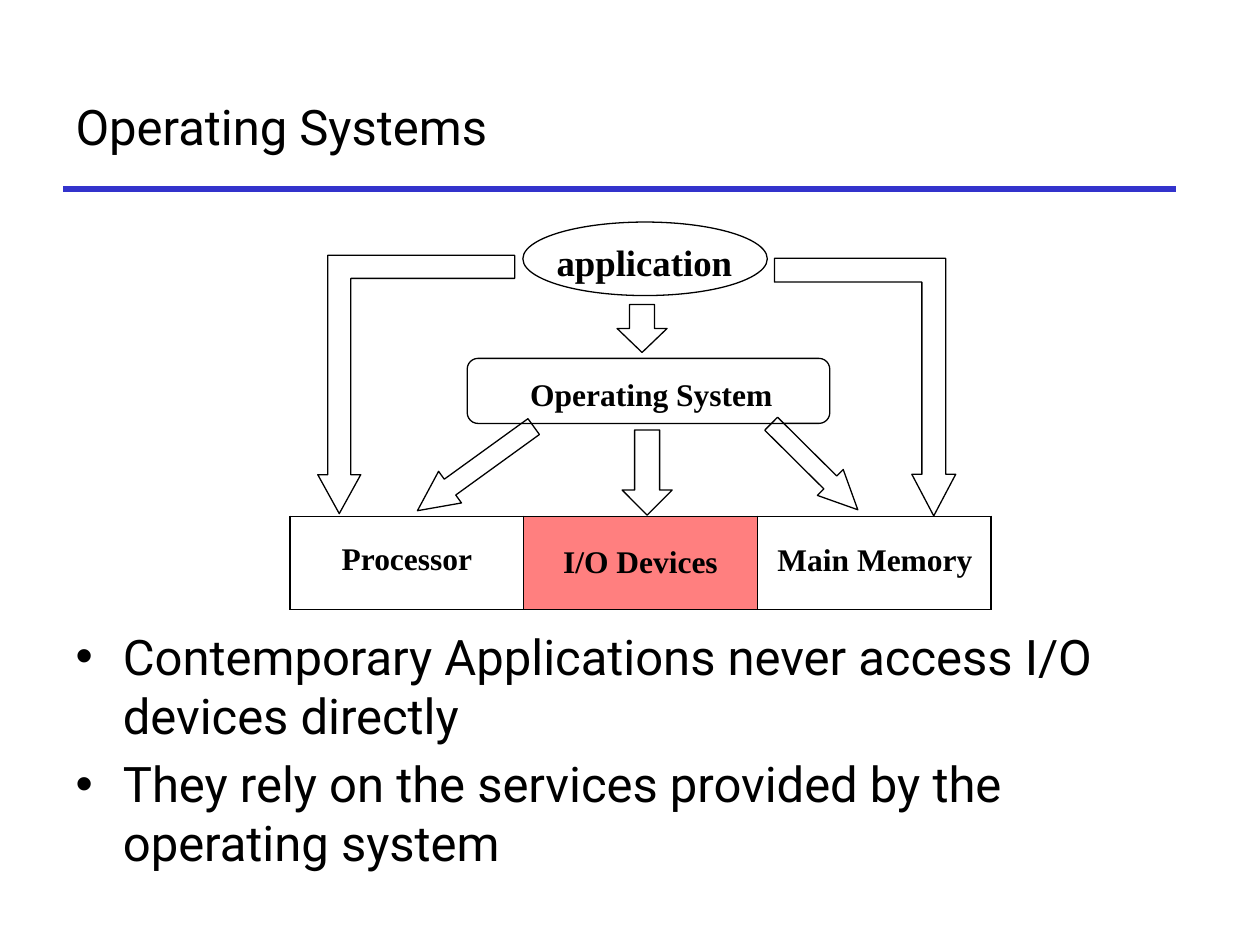
"""Build the Operating Systems slide: how an application reaches the hardware."""
from lxml import etree
from pptx import Presentation
from pptx.dml.color import RGBColor as Rgb
from pptx.enum.shapes import MSO_CONNECTOR as Link, MSO_SHAPE as Form
from pptx.enum.text import MSO_ANCHOR as Anchor, MSO_AUTO_SIZE as Auto, PP_ALIGN as Align
from pptx.oxml.ns import qn
from pptx.util import Pt

INK = {"text": "000000", "rule": "3333CC", "device": "FF0000"}
SANS, SERIF = "Roboto", "Times New Roman"


def write(para, text, size, font, bold=False):
    run = para.add_run()
    run.text = text
    run.font.size, run.font.name, run.font.bold = Pt(size), font, bold
    run.font.color.rgb = Rgb.from_string(INK["text"])


def draw(form, box, adj=(), turn=0, flip=False):
    shape = slide.shapes.add_shape(form, *map(Pt, box))
    shape.shadow.inherit = False
    shape.fill.background()
    shape.line.color.rgb = Rgb.from_string(INK["text"])
    shape.line.width = Pt(0.75)
    shape.rotation = turn
    for i, value in enumerate(adj):
        shape.adjustments[i] = value
    if flip:
        shape._element.spPr.find(qn("a:xfrm")).set("flipH", "1")


deck = Presentation()
deck.slide_width, deck.slide_height = Pt(720), Pt(540)
slide = deck.slides.add_slide(deck.slide_layouts[1])

rule = slide.shapes.add_connector(Link.STRAIGHT, Pt(36), Pt(108), Pt(672), Pt(108))
rule.line.color.rgb = Rgb.from_string(INK["rule"])
rule.line.width = Pt(3)
etree.SubElement(rule._element.spPr, qn("a:effectLst"))

title, body = slide.placeholders
title.left, title.top, title.width, title.height = map(Pt, (36, 36, 636, 72))
body.left, body.top, body.width, body.height = map(Pt, (36, 354.3, 660, 160.5))
for frame in (title.text_frame, body.text_frame):
    frame.auto_size = Auto.NONE
title.text_frame.vertical_anchor = Anchor.MIDDLE
head = title.text_frame.paragraphs[0]
head.alignment = Align.LEFT
write(head, "Operating Systems", 28, SANS)

points = [
    "Contemporary Applications never access I/O devices directly",
    "They rely on the services provided by the operating system",
]
for i, point in enumerate(points):
    para = body.text_frame.add_paragraph() if i else body.text_frame.paragraphs[0]
    write(para, point, 28, SANS)
    para.space_before = Pt(5.6)
    props = para._p.get_or_add_pPr()
    props.set("marL", str(Pt(27)))
    props.set("indent", str(Pt(-27)))
    etree.SubElement(props, qn("a:buChar"), char="•")

table = slide.shapes.add_table(1, 3, Pt(165.6), Pt(295), Pt(400.8), Pt(53.3)).table
table.first_row = table.horz_banding = False
for col in table.columns:
    col.width = Pt(133.6)
for cell in table.rows[0].cells:
    props = cell._tc.get_or_add_tcPr()
    for side in ("lnL", "lnR", "lnT", "lnB"):
        edge = etree.SubElement(props, qn(f"a:{side}"), w=str(Pt(1)))
        fill = etree.SubElement(edge, qn("a:solidFill"))
        etree.SubElement(fill, qn("a:srgbClr"), val=INK["text"])
    cell.fill.background()
device = table.cell(0, 1)
device.fill.solid()
device.fill.fore_color.rgb = Rgb.from_string(INK["device"])
tint = device._tc.tcPr.find(qn("a:solidFill"))[0]
etree.SubElement(tint, qn("a:alpha"), val="50000")
device.vertical_anchor = Anchor.MIDDLE
para = device.text_frame.paragraphs[0]
para.alignment = Align.CENTER
write(para, "I/O Devices", 18, SERIF, True)

draw(Form.OVAL, (298.8, 126.9, 139.7, 42))
draw(Form.ROUNDED_RECTANGLE, (267, 204.8, 207.2, 37.2), [0.167])
for box, adj, turn in [
    ((260.6, 226.8, 22.3, 82), (0.5, 1.03), 54.1),
    ((355.5, 245.7, 28.6, 48.6), (0.5, 0.5), 0),
    ((455, 231.8, 20.9, 69.8), (0.5, 1.06), 314.8),
    ((352.6, 174, 28.6, 27.4), (0.5, 0.5), 0),
]:
    draw(Form.DOWN_ARROW, box, adj, turn)
draw(Form.BENT_UP_ARROW, (181.6, 145.9, 112.5, 147.6), (0.117, 0.109, 0.198), 180)
draw(Form.BENT_UP_ARROW, (442.5, 147.6, 103.6, 147.2), (0.131, 0.121, 0.23), 180, True)

for text, box, size, wrap in [
    ("Processor", (176.4, 304.6, 112.3, 28.8), 18, True),
    ("Main Memory", (429.8, 304.9, 140.4, 28.8), 18, True),
    ("application", (311, 133.2, 116, 25.2), 21, False),
    ("Operating System", (295.9, 211, 154, 22.3), 18, False),
]:
    label = slide.shapes.add_textbox(*map(Pt, box)).text_frame
    label.word_wrap = wrap
    label.auto_size = Auto.SHAPE_TO_FIT_TEXT
    para = label.paragraphs[0]
    para.alignment = Align.CENTER if wrap else Align.LEFT
    write(para, text, size, SERIF, True)

deck.save("out.pptx")
